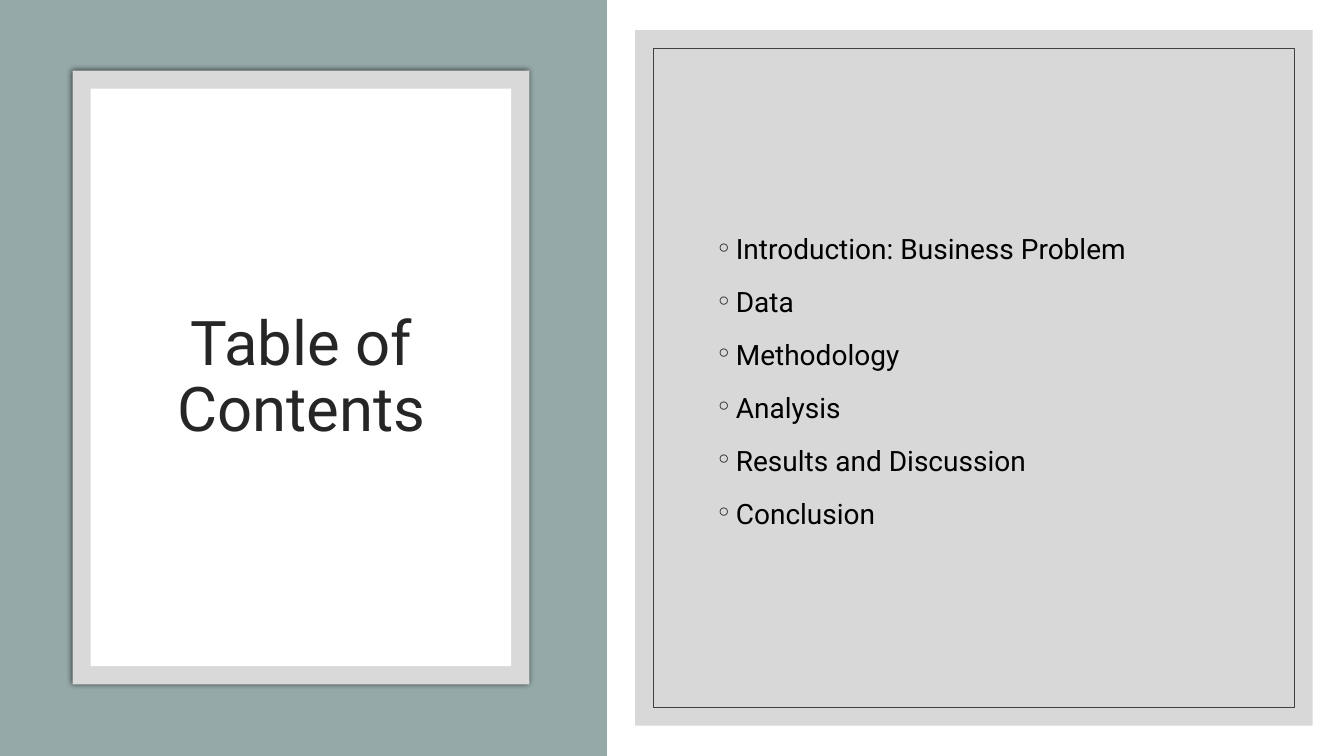
from pptx import Presentation
from pptx.dml.color import RGBColor
from pptx.enum.shapes import MSO_SHAPE
from pptx.enum.text import MSO_ANCHOR, PP_ALIGN
from pptx.oxml import parse_xml
from pptx.oxml.ns import nsdecls
from pptx.util import Inches, Pt

FONT = "Roboto"
WIDTH, HEIGHT = 13.33, 7.5
FRAME = 0.18
TOPICS = ["Introduction: Business Problem", "Data", "Methodology",
          "Analysis", "Results and Discussion", "Conclusion"]


def rgb(value):
    return RGBColor.from_string(value)


def inset(box, dx, dy):
    x, y, w, h = box
    return x + dx, y + dy, w - 2 * dx, h - 2 * dy


def add_rect(slide, box, fill=None, line=None):
    sp = slide.shapes.add_shape(MSO_SHAPE.RECTANGLE, *map(Inches, box))
    sp.shadow.inherit = False
    if fill:
        sp.fill.solid()
        sp.fill.fore_color.rgb = rgb(fill)
    else:
        sp.fill.background()
    if line:
        sp.line.color.rgb = rgb(line)
        sp.line.width = Pt(0.5)
    else:
        sp.line.fill.background()
    return sp


def add_glow_shadow(sp):
    effects = sp._element.spPr.find(
        "{http://schemas.openxmlformats.org/drawingml/2006/main}effectLst")
    effects.append(parse_xml(
        f'<a:outerShdw {nsdecls("a")} blurRad="{Pt(4)}" dist="0" dir="0" algn="ctr" '
        'rotWithShape="0"><a:srgbClr val="000000"><a:alpha val="66000"/>'
        '</a:srgbClr></a:outerShdw>'))


def add_text(slide, box, lines, size, color):
    tf = slide.shapes.add_textbox(*map(Inches, box)).text_frame
    tf.word_wrap = True
    tf.vertical_anchor = MSO_ANCHOR.MIDDLE
    tf.text = "\n".join(lines)
    for p in tf.paragraphs:
        for r in p.runs:
            r.font.name = FONT
            r.font.size = Pt(size)
            r.font.color.rgb = rgb(color)
    return tf


def add_bullet(p, char, color):
    pPr = p._p.get_or_add_pPr()
    pPr.set("marL", str(Inches(0.2)))
    pPr.set("indent", str(-Inches(0.2)))
    pPr.append(parse_xml(
        f'<a:buClr {nsdecls("a")}><a:srgbClr val="{color}"/></a:buClr>'))
    pPr.append(parse_xml(f'<a:buFont {nsdecls("a")} typeface="{FONT}"/>'))
    pPr.append(parse_xml(f'<a:buChar {nsdecls("a")} char="{char}"/>'))


def add_title_panel(slide, box, title):
    x, y, w, h = box
    add_rect(slide, box, "96A9A9")
    card = (x + 0.73, y + 0.7, w - 1.5, h - 1.41)
    add_glow_shadow(add_rect(slide, card, "D9D9D9"))
    page = inset(card, FRAME, FRAME)
    add_rect(slide, page, "FFFFFF")
    px, py, pw, ph = page
    tf = add_text(slide, (px + FRAME, py + 0.42, pw - 2 * FRAME + 0.01, ph - 0.82),
                  [title], 44, "262626")
    p = tf.paragraphs[0]
    p.alignment = PP_ALIGN.CENTER
    p.line_spacing = 0.9


def add_topics_panel(slide, box, topics):
    sp = add_rect(slide, box, "BFBFBF")
    color = sp.fill._xPr.solidFill.srgbClr
    color.append(parse_xml(f'<a:alpha {nsdecls("a")} val="60000"/>'))
    add_rect(slide, inset(box, FRAME, FRAME), line="404040")
    x, y, w, h = box
    tf = add_text(slide, (x + 0.7, y + 0.72, w - 1.39, h - 1.45),
                  topics, 20, "000000")
    for i, p in enumerate(tf.paragraphs):
        p.line_spacing = 1.2
        if i:
            p.space_before = Pt(9)
        add_bullet(p, "◦", "262626")


def main():
    prs = Presentation()
    prs.slide_width, prs.slide_height = Inches(WIDTH), Inches(HEIGHT)
    slide = prs.slides.add_slide(prs.slide_layouts[6])
    add_title_panel(slide, (-0.01, 0, 6.03, HEIGHT), "Table of Contents")
    add_topics_panel(slide, (6.3, 0.3, 6.72, HEIGHT - 0.6), TOPICS)
    prs.save("out.pptx")


if __name__ == "__main__":
    main()
